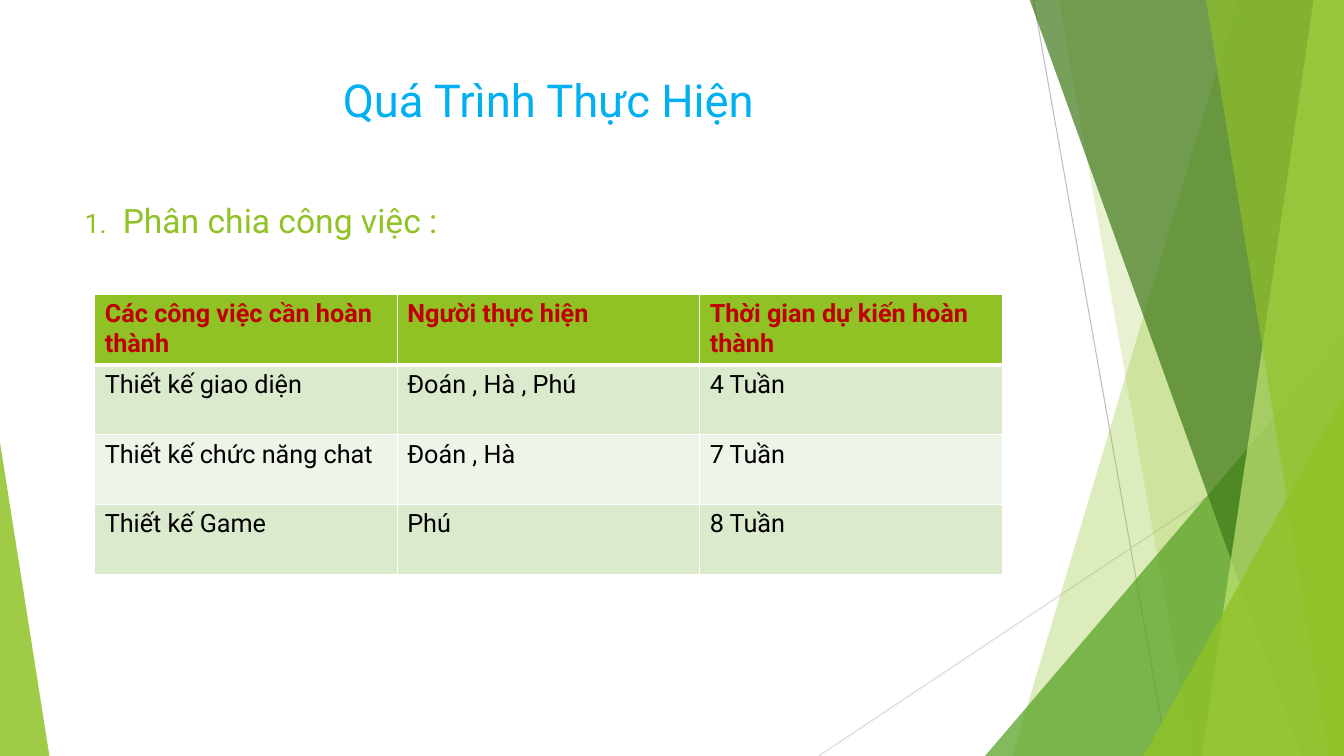
"""Build the slide on the working process, with its task table."""
from dataclasses import dataclass

from lxml.etree import SubElement
from pptx import Presentation
from pptx.dml.color import RGBColor
from pptx.enum.shapes import MSO_CONNECTOR, MSO_SHAPE
from pptx.enum.text import MSO_ANCHOR, PP_ALIGN
from pptx.oxml.ns import qn
from pptx.util import Pt

PX = 9144
WIDE, HIGH = 1333, 750


@dataclass(frozen=True)
class Theme:
    font: str = "Roboto"
    white: str = "FFFFFF"
    black: str = "000000"
    red: str = "C00000"
    blue: str = "00B0F0"
    green: str = "90C226"
    leaf: str = "54A021"
    forest: str = "3F7819"
    lime: str = "C0E474"
    band: str = "DBE9CD"
    pale: str = "EEF4E8"
    grey: str = "BFBFBF"
    mist: str = "D9D9D9"
    title: float = 32.4
    head: int = 24
    body: int = 18


class Page:
    def __init__(self, theme):
        self.theme = theme
        self.deck = Presentation()
        self.deck.slide_width, self.deck.slide_height = WIDE * PX, HIGH * PX
        self.slide = self.deck.slides.add_slide(self.deck.slide_layouts[6])
        self.shapes = self.slide.shapes

    def line(self, start, end, color):
        ends = [n * PX for n in (*start, *end)]
        line = self.shapes.add_connector(MSO_CONNECTOR.STRAIGHT, *ends)
        line.line.color.rgb = RGBColor.from_string(color)
        line.line.width = Pt(0.75)
        SubElement(line.element.spPr, qn("a:effectLst"))

    def paint(self, shape, color, alpha):
        shape.shadow.inherit = False
        shape.line.fill.background()
        shape.fill.solid()
        shape.fill.fore_color.rgb = RGBColor.from_string(color)
        tint = shape.element.spPr.find(qn("a:solidFill"))[0]
        SubElement(tint, qn("a:alpha"), val=str(alpha * 1000))

    def shard(self, top, foot, color, alpha):
        form = self.shapes.build_freeform(top, -1, scale=PX)
        form.add_line_segments([(WIDE, -1), (WIDE, HIGH), (foot, HIGH)])
        self.paint(form.convert_to_shape(), color, alpha)

    def wedge(self, left, top, width, peak, color, alpha):
        box = [n * PX for n in (left, top, width, HIGH - top)]
        shape = self.shapes.add_shape(MSO_SHAPE.ISOSCELES_TRIANGLE, *box)
        shape.adjustments[0] = peak
        self.paint(shape, color, alpha)

    def style(self, para, size, color, bold=False):
        for run in para.runs:
            run.font.name = self.theme.font
            run.font.size = Pt(size)
            run.font.bold = bold
            run.font.color.rgb = RGBColor.from_string(color)

    def text(self, box, words, size, color):
        frame = self.shapes.add_textbox(*[n * PX for n in box]).text_frame
        frame.word_wrap = True
        frame.vertical_anchor = MSO_ANCHOR.TOP
        frame.text = words
        para = frame.paragraphs[0]
        self.style(para, size, color)
        return para

    def title(self, box, words):
        para = self.text(box, words, self.theme.title, self.theme.blue)
        para.alignment = PP_ALIGN.CENTER

    def item(self, box, words):
        color = self.theme.green
        para = self.text(box, words, self.theme.head, color)
        para.space_before = Pt(10)
        props = para._p.get_or_add_pPr()
        props.set("marL", str(38 * PX))
        props.set("indent", str(-38 * PX))
        SubElement(SubElement(props, qn("a:buClr")), qn("a:srgbClr"), val=color)
        SubElement(props, qn("a:buSzPct"), val="80000")
        SubElement(props, qn("a:buFont"), typeface=self.theme.font)
        SubElement(props, qn("a:buAutoNum"), type="arabicPeriod")

    def edge(self, cell, row):
        props = cell._tc.get_or_add_tcPr()
        widths = {"L": 1, "R": 1, "T": 3 if row == 1 else 1, "B": 3 if row == 0 else 1}
        for spot, (side, width) in enumerate(widths.items()):
            line = SubElement(props, qn(f"a:ln{side}"), w=str(Pt(width)))
            fill = SubElement(line, qn("a:solidFill"))
            SubElement(fill, qn("a:srgbClr"), val=self.theme.white)
            props.insert(spot, line)

    def table(self, left, top, width, height, rows):
        theme = self.theme
        box = [n * PX for n in (left, top, width, height)]
        grid = self.shapes.add_table(len(rows), len(rows[0]), *box).table
        for r, row in enumerate(rows):
            fill = theme.green if r == 0 else theme.band if r % 2 else theme.pale
            color = theme.black if r else theme.red
            for c, words in enumerate(row):
                cell = grid.cell(r, c)
                cell.text_frame.text = words
                self.style(cell.text_frame.paragraphs[0], theme.body, color, r == 0)
                cell.fill.solid()
                cell.fill.fore_color.rgb = RGBColor.from_string(fill)
                self.edge(cell, r)


def main():
    theme = Theme()
    page = Page(theme)
    page.line((1025, 0), (1158, HIGH), theme.grey)
    page.line((WIDE, 403), (812, HIGH), theme.mist)
    page.shard(1228, 1004, theme.green, 30)
    page.shard(1050, 1183, theme.green, 20)
    page.wedge(977, 333, 356, 1, theme.leaf, 72)
    page.shard(1021, 1291, theme.forest, 70)
    page.shard(1303, 1192, theme.lime, 70)
    page.shard(1196, 1318, theme.green, 65)
    page.wedge(1134, 393, 199, 1, theme.green, 80)
    page.wedge(0, 439, 49, 0, theme.green, 85)
    page.title((74, 67, 940, 111), "Quá Trình Thực Hiện")
    page.item((74, 193, 940, 468), "Phân chia công việc :")
    page.table(94, 292, 900, 277, [
        ("Các công việc cần hoàn thành", "Người thực hiện", "Thời gian dự kiến hoàn thành"),
        ("Thiết kế giao diện", "Đoán , Hà , Phú", "4 Tuần"),
        ("Thiết kế chức năng chat", "Đoán , Hà", "7 Tuần"),
        ("Thiết kế Game", "Phú", "8 Tuần"),
    ])
    page.deck.save("out.pptx")


if __name__ == "__main__":
    main()
